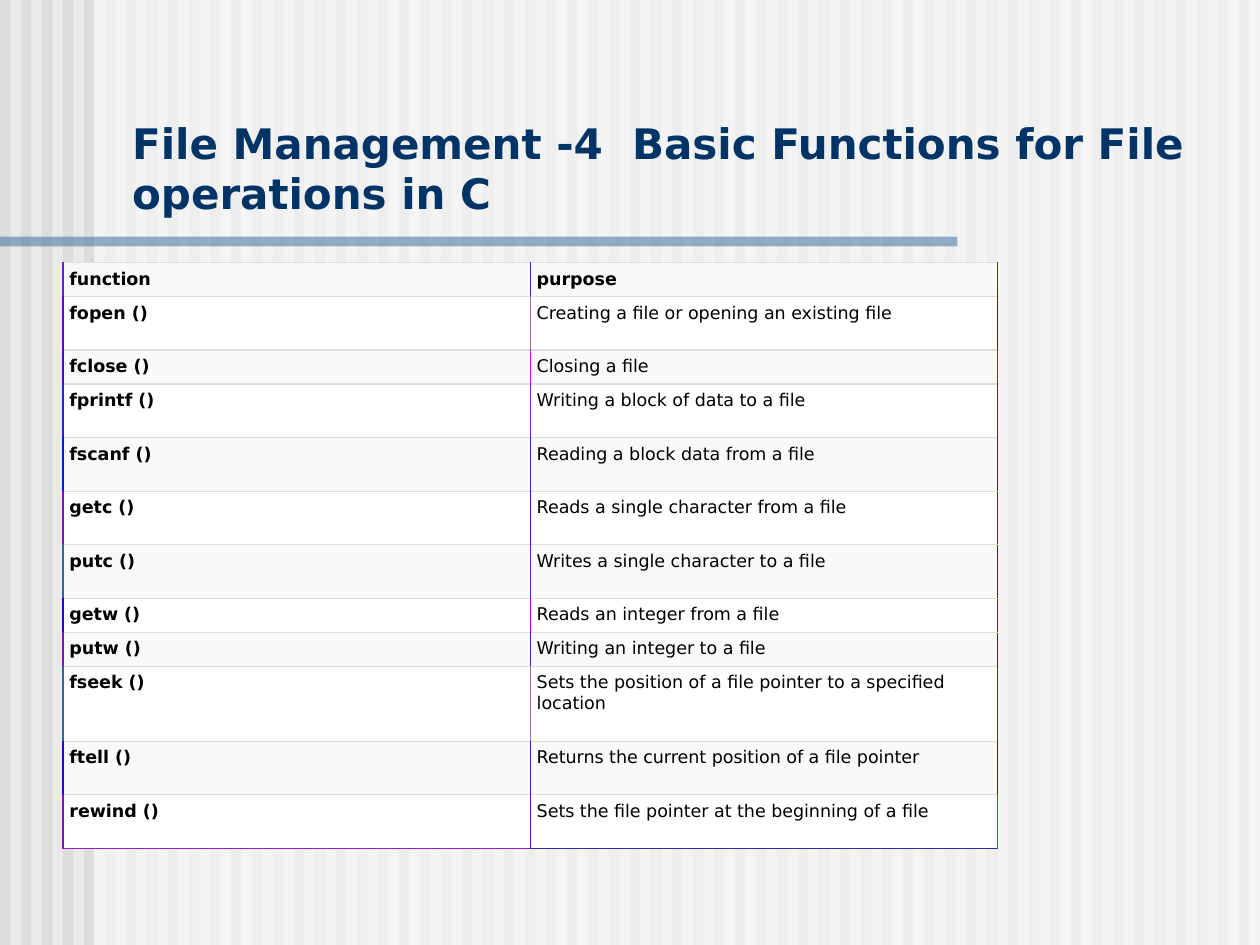
from lxml import etree
from pptx import Presentation
from pptx import util as u
from pptx.dml.color import RGBColor
from pptx.enum import shapes, text
from pptx.oxml.ns import qn

# Function, purpose, row height in cm, colours of left, middle and right edge
ROWS = [
    ("function", "purpose", 0.65, "6021CB 302CAA 302BAA"),
    ("fopen ()", "Creating a file or opening an existing file", 1.08, "6009C2 B06BAA 4009C2"),
    ("fclose ()", "Closing a file", 0.65, "5009C2 B020CB 6021CB"),
    ("fprintf ()", "Writing a block of data to a file", 1.08, "3021CB 9020CB 6009C2"),
    ("fscanf ()", "Reading a block data from a file", 1.08, "0020CB 302BAA 5009C2"),
    ("getc ()", "Reads a single character from a file", 1.08, "9009C2 4009C2 5009C2"),
    ("putc ()", "Writes a single character to a file", 1.08, "3063AA 6021CB 5009C2"),
    ("getw ()", "Reads an integer from a file", 0.65, "2009C2 A009C2 5009C2"),
    ("putw ()", "Writing an integer to a file", 0.65, "9009C2 302CAA 5009C2"),
    ("fseek ()", "Sets the position of a file pointer to a specified location", 1.51,
     "3063AA B06BAA 302BAA"),
    ("ftell ()", "Returns the current position of a file pointer", 1.08, "2009C2 3021CB 4009C2"),
    ("rewind ()", "Sets the file pointer at the beginning of a file", 1.08, "9009C2 6009C2 3063AA"),
]
FOOT = ("9020CB", "302CAA")
RULE = "DDDDDD"


def paint(target, code):
    """Fill a shape, cell or background with a hex colour."""
    target.fill.solid()
    target.fill.fore_color.rgb = RGBColor.from_string(code)


def write(frame, words, size=10, bold=False, color="000000", font="DejaVu Sans"):
    para = frame.paragraphs[0]
    para.alignment = text.PP_ALIGN.LEFT
    run = para.add_run()
    run.text = words
    run.font.size, run.font.bold, run.font.name = u.Pt(size), bold, font
    run.font.color.rgb = RGBColor.from_string(color)


def edge(cell, side, code, width):
    """Draw one border; call in the order L, R, T, B, before the fill."""
    line = etree.SubElement(cell._tc.get_or_add_tcPr(), qn("a:ln" + side), w=str(u.Pt(width)))
    fill = etree.SubElement(line, qn("a:solidFill"))
    etree.SubElement(fill, qn("a:srgbClr"), val=code)


class Page:
    def __init__(self, deck):
        self.slide = deck.slides.add_slide(deck.slide_layouts[5])
        self.shapes = self.slide.shapes
        paint(self.slide.background, "EAEAEA")

    def bar(self, left, top, width, height, code, alpha=None, group=None):
        home = group.shapes if group else self.shapes
        bar = home.add_shape(shapes.MSO_SHAPE.RECTANGLE,
                             u.Cm(left), u.Cm(top), u.Cm(width), u.Cm(height))
        paint(bar, code)
        bar.line.fill.background()
        bar.shadow.inherit = False
        if alpha:
            tone = bar.element.spPr.find(".//" + qn("a:srgbClr"))
            etree.SubElement(tone, qn("a:alpha"), val=str(alpha * 1000))

    def title(self, words, left, top, width, height):
        head = self.shapes.title
        head.left, head.top = u.Cm(left), u.Cm(top)
        head.width, head.height = u.Cm(width), u.Cm(height)
        frame = head.text_frame
        frame.word_wrap = True
        frame.auto_size = text.MSO_AUTO_SIZE.SHAPE_TO_FIT_TEXT
        frame.vertical_anchor = text.MSO_ANCHOR.BOTTOM
        write(frame, words, size=24, bold=True, color="003366")
        # Bring the title in front of the backdrop
        head.element.getparent().append(head.element)

    def table(self, rows, left, top, width):
        high = sum(row[2] for row in rows)
        grid = self.shapes.add_table(len(rows), 2, u.Cm(left), u.Cm(top),
                                     u.Cm(width), u.Cm(high)).table
        for col in grid.columns:
            col.width = u.Cm(width / 2)
        for r, (name, use, tall, tones) in enumerate(rows):
            grid.rows[r].height = u.Cm(tall)
            tones = tones.split()
            last = r == len(rows) - 1
            for c, words in enumerate((name, use)):
                cell = grid.cell(r, c)
                edge(cell, "L", tones[c], 1)
                edge(cell, "R", tones[c + 1], 1)
                edge(cell, "T", RULE, 0.75)
                edge(cell, "B", FOOT[c] if last else RULE, 1 if last else 0.75)
                paint(cell, "FFFFFF" if r % 2 else "F9F9F9")
                cell.margin_left = cell.margin_right = u.Cm(0.13)
                cell.margin_top = cell.margin_bottom = u.Cm(0.13)
                write(cell.text_frame, words, bold=r == 0 or c == 0)


def main():
    deck = Presentation()
    deck.slide_width, deck.slide_height = u.Cm(25.4), u.Cm(19.05)
    page = Page(deck)

    # Striped backdrop under a white veil
    group = page.shapes.add_group_shape()
    step = 25.4 / 60
    for i in range(60):
        page.bar(i * step, 0, step / 2, 19.05, "DDDDDD", group=group)
    page.bar(1.9, 0, 23.5, 19.05, "FFFFFF", alpha=50, group=group)

    # Title and its rule
    page.bar(0, 4.77, 19.3, 0.2, "336699", alpha=50)
    page.title("File Management -4  Basic Functions for File operations in C",
               2.41, 2.21, 22.68, 2.31)

    # Function table
    page.table(ROWS, 1.27, 5.29, 18.84)
    deck.save("out.pptx")


if __name__ == "__main__":
    main()
